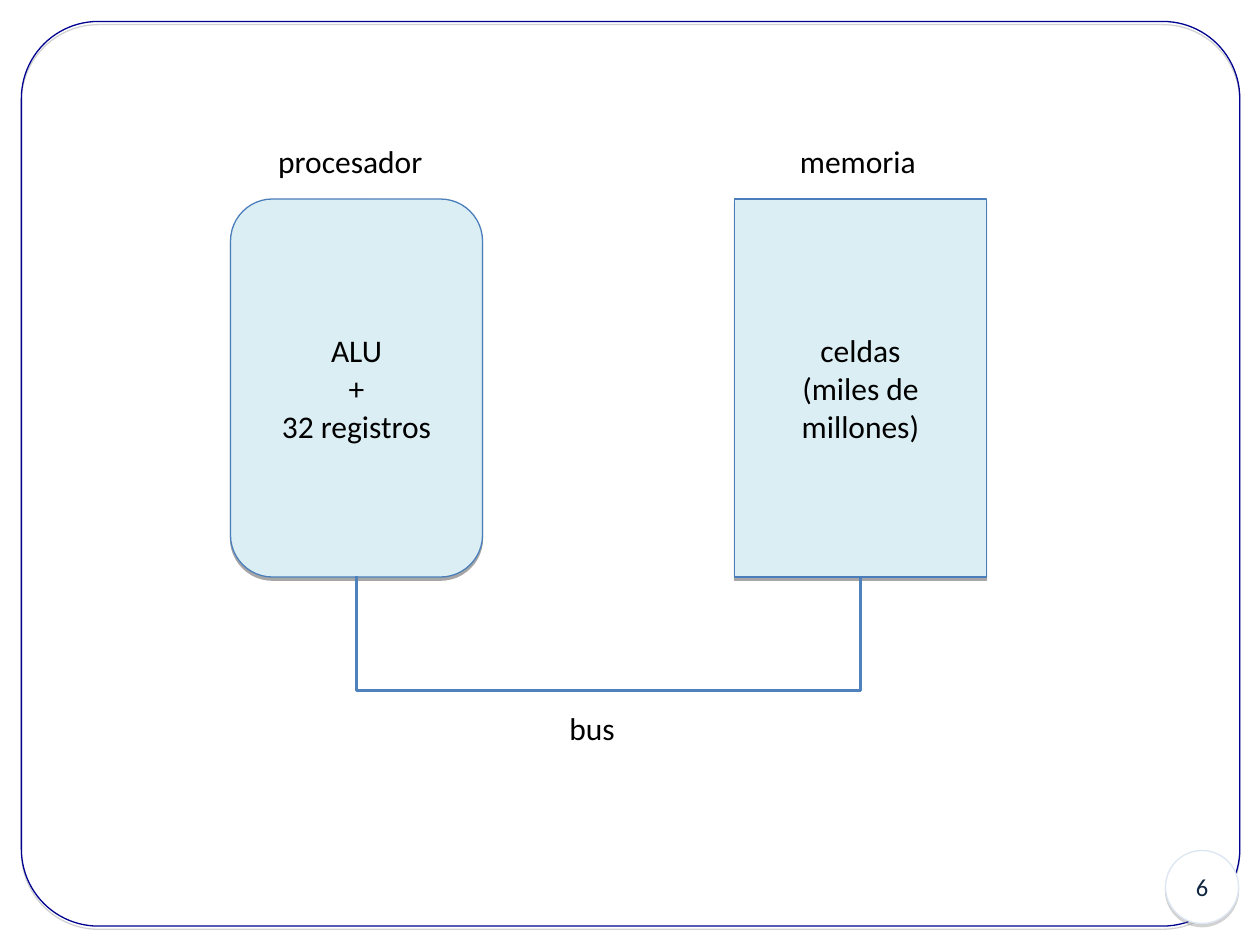
from dataclasses import dataclass
from typing import Any

from lxml.etree import SubElement
from pptx import Presentation
from pptx.dml.color import RGBColor
from pptx.enum.shapes import MSO_CONNECTOR, MSO_SHAPE
from pptx.enum.text import MSO_ANCHOR, MSO_AUTO_SIZE, PP_ALIGN
from pptx.oxml.ns import qn
from pptx.util import Inches, Pt

WHITE = RGBColor(0xFF, 0xFF, 0xFF)
BLACK = RGBColor(0x00, 0x00, 0x00)
GRAY = RGBColor(0x80, 0x80, 0x80)
NAVY = RGBColor(0x00, 0x00, 0x90)
INK = RGBColor(0x10, 0x25, 0x3F)
PALE = RGBColor(0xDC, 0xE6, 0xF2)
AQUA = RGBColor(0xDB, 0xEE, 0xF4)
EDGE = RGBColor(0x4A, 0x7E, 0xBB)
BLUE = RGBColor(0x4F, 0x81, 0xBD)

BOX_TOP, BOX_W, BOX_H = 1.58, 2, 3
CPU_X, MEM_X = 1.83, 5.83
DROP = 0.92


@dataclass
class Board:
    slide: Any
    font: str = "Calibri"
    size: int = 18

    def fill_text(self, frame, lines, align, color=BLACK, size=None):
        frame.text = "\n".join(lines)
        form = {"name": self.font, "size": Pt(size or self.size)}
        for para in frame.paragraphs:
            para.alignment = align
            for key, value in form.items():
                setattr(para.font, key, value)
            para.font.color.rgb = color

    def shade(self, shape, color):
        """Give the shape a sharp shadow just below it."""
        shape.shadow.inherit = False
        effects = shape._element.spPr.find(qn("a:effectLst"))
        outer = SubElement(effects, qn("a:outerShdw"), blurRad="0",
                           dist=str(Pt(1.8)), dir="5400000", rotWithShape="0")
        tint = SubElement(outer, qn("a:srgbClr"), val=str(color))
        SubElement(tint, qn("a:alpha"), val="35000")

    def shape(self, kind, box, fill, edge, shadow, lines=(), adj=None, **text):
        shape = self.slide.shapes.add_shape(kind, *map(Inches, box))
        if adj is not None:
            shape.adjustments[0] = adj
        if fill is None:
            shape.fill.background()
        else:
            shape.fill.solid()
            shape.fill.fore_color.rgb = fill
        shape.line.color.rgb = edge
        shape.line.width = Pt(0.75)
        self.shade(shape, shadow)
        if lines:
            shape.text_frame.vertical_anchor = MSO_ANCHOR.MIDDLE
            self.fill_text(shape.text_frame, lines, PP_ALIGN.CENTER, **text)

    def label(self, text, left, top, width):
        box = self.slide.shapes.add_textbox(*map(Inches, (left, top, width, 0.4)))
        form = {"word_wrap": False, "auto_size": MSO_AUTO_SIZE.SHAPE_TO_FIT_TEXT}
        for key, value in form.items():
            setattr(box.text_frame, key, value)
        self.fill_text(box.text_frame, [text], PP_ALIGN.LEFT)

    def link(self, start, end, level, drop):
        """Join two points at one level by a U-shaped line hanging below."""
        thin, span = 0.01, end - start
        left, top = (start + end - thin) / 2, level - span / 2
        line = self.slide.shapes.add_connector(
            MSO_CONNECTOR.ELBOW, *map(Inches, (left, top, left + thin, top + span)))
        line.line.color.rgb = BLUE
        line.line.width = Pt(2)
        props = line._element.spPr
        frame = props.find(qn("a:xfrm"))
        for key, value in {"rot": "16200000", "flipH": "1"}.items():
            frame.set(key, value)
        guides = props.find(qn("a:prstGeom")).find(qn("a:avLst"))
        SubElement(guides, qn("a:gd"), name="adj1",
                   fmla=f"val {round(drop / thin * 100000)}")
        SubElement(props, qn("a:effectLst"))


def main():
    deck = Presentation()
    deck.slide_width, deck.slide_height = Inches(10), Inches(7.5)
    board = Board(deck.slides.add_slide(deck.slide_layouts[6]))

    board.shape(MSO_SHAPE.ROUNDED_RECTANGLE, (0.17, 0.17, 9.67, 7.18),
                None, NAVY, GRAY, adj=0.085)
    board.shape(MSO_SHAPE.OVAL, (9.25, 6.75, 0.58, 0.58), WHITE, PALE, GRAY,
                ["6"], color=INK, size=14)

    parts = [
        (MSO_SHAPE.RECTANGLE, MEM_X, ["celdas", "(miles de", "millones)"]),
        (MSO_SHAPE.ROUNDED_RECTANGLE, CPU_X, ["ALU", "+", "32 registros"]),
    ]
    for kind, left, lines in parts:
        board.shape(kind, (left, BOX_TOP, BOX_W, BOX_H), AQUA, EDGE, BLACK, lines)

    board.label("procesador", 2.11, 1.08, 1.35)
    board.label("memoria", 6.25, 1.08, 1.12)
    board.link(CPU_X + BOX_W / 2, MEM_X + BOX_W / 2, BOX_TOP + BOX_H, DROP)
    board.label("bus", 4.42, 5.58, 0.56)
    deck.save("out.pptx")


if __name__ == "__main__":
    main()
